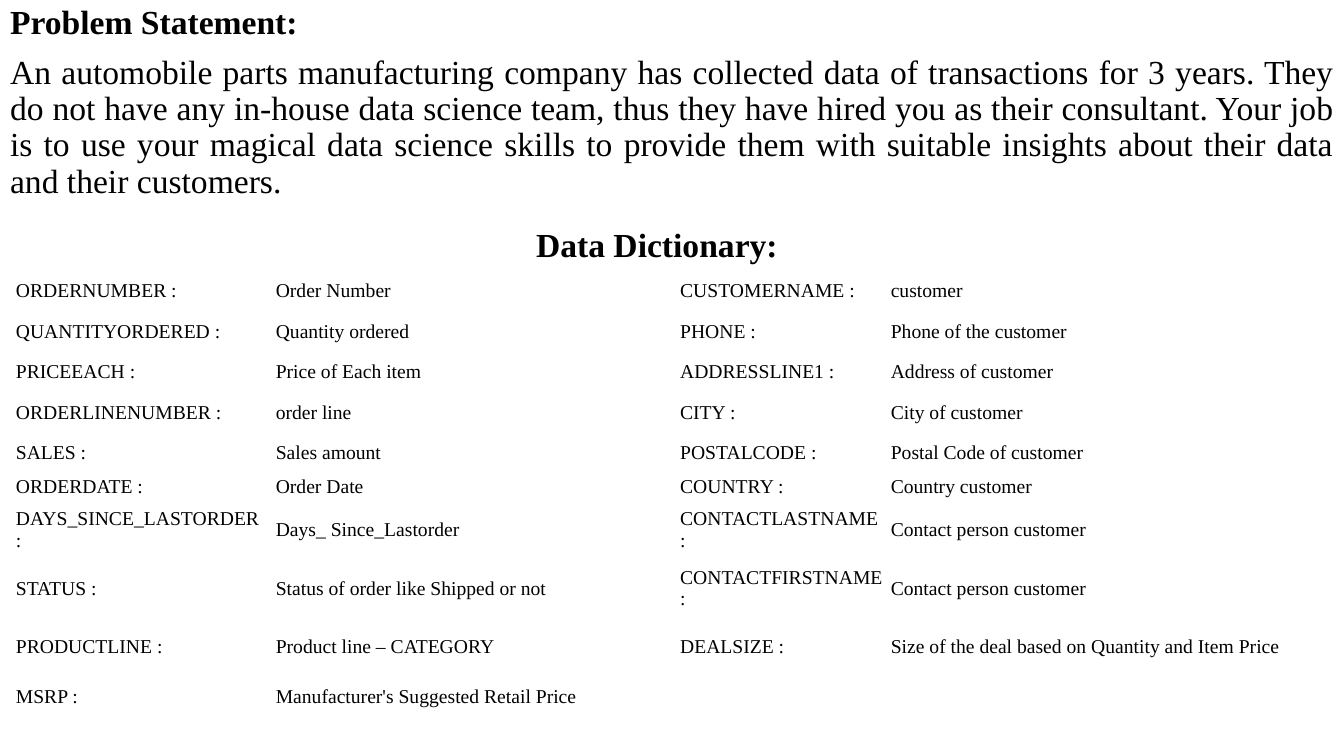
from pptx import Presentation
from pptx.dml.color import RGBColor
from pptx.enum.text import MSO_ANCHOR, PP_ALIGN
from pptx.oxml.ns import qn
from pptx.util import Cm, Pt

COLORS = {"text": "000000", "background": "FFFFFF"}
FONT = "Times New Roman"

STATEMENT = (
    "An automobile parts manufacturing company has collected data of transactions for 3 years. "
    "They do not have any in-house data science team, thus they have hired you as their consultant. "
    "Your job is to use your magical data science skills to provide them with suitable insights "
    "about their data and their customers."
)

COLUMN_WIDTHS = [6.55, 10.19, 5.31, 11.18]
# Row height, then two pairs of field and meaning
DICTIONARY = [
    (1.04, "ORDERNUMBER :", "Order Number", "CUSTOMERNAME :", "customer"),
    (1.02, "QUANTITYORDERED :", "Quantity ordered", "PHONE :", "Phone of the customer"),
    (1.02, "PRICEEACH :", "Price of Each item", "ADDRESSLINE1 :", "Address of customer"),
    (1.02, "ORDERLINENUMBER :", "order line", "CITY :", "City of customer"),
    (1.02, "SALES :", "Sales amount", "POSTALCODE :", "Postal Code of customer"),
    (0.69, "ORDERDATE :", "Order Date", "COUNTRY :", "Country customer"),
    (1.47, "DAYS_SINCE_LASTORDER :", "Days_ Since_Lastorder", "CONTACTLASTNAME :", "Contact person customer"),
    (1.47, "STATUS :", "Status of order like Shipped or not", "CONTACTFIRSTNAME :", "Contact person customer"),
    (1.47, "PRODUCTLINE :", "Product line – CATEGORY", "DEALSIZE :",
     "Size of the deal based on Quantity and Item Price"),
    (1.04, "MSRP :", "Manufacturer's Suggested Retail Price", "", ""),
]


def color(name):
    return RGBColor.from_string(COLORS[name])


def write(paragraph, text, size, bold=False):
    paragraph.text = text
    font_format = {"name": FONT, "size": Pt(size), "bold": bold}
    for attribute, value in font_format.items():
        setattr(paragraph.font, attribute, value)
    paragraph.font.color.rgb = color("text")


presentation = Presentation()
presentation.slide_width = Cm(33.87)
presentation.slide_height = Cm(19.05)
slide = presentation.slides.add_slide(presentation.slide_layouts[1])

# The problem statement fills the body placeholder; its heading is the first paragraph
title = slide.shapes.title.element
title.getparent().remove(title)
body = slide.placeholders[1]
body.left, body.top = Cm(0), Cm(0)
body.width, body.height = presentation.slide_width, presentation.slide_height
body.fill.solid()
body.fill.fore_color.rgb = color("background")
body.line.color.rgb = color("background")
body.line.width = Pt(1)
body.text_frame.vertical_anchor = MSO_ANCHOR.TOP

for index, (text, bold) in enumerate([("Problem Statement:", True), (STATEMENT, False)]):
    paragraph = body.text_frame.add_paragraph() if index else body.text_frame.paragraphs[0]
    properties = paragraph._p.get_or_add_pPr()
    properties.set("marL", "0")
    properties.set("indent", "0")
    properties.append(properties.makeelement(qn("a:buNone"), {}))
    write(paragraph, text, 24, bold)
    paragraph.alignment = PP_ALIGN.JUSTIFY
    paragraph.line_spacing = 0.9
    paragraph.space_before = Pt(10 * index)

heading = slide.shapes.add_textbox(Cm(13.26), Cm(5.51), Cm(8), Cm(1.28))
heading.text_frame.word_wrap = True
heading.text_frame.vertical_anchor = MSO_ANCHOR.MIDDLE
write(heading.text_frame.paragraphs[0], "Data Dictionary:", 24, True)

table_height = sum(row[0] for row in DICTIONARY)
table = slide.shapes.add_table(
    len(DICTIONARY), len(COLUMN_WIDTHS),
    Cm(0.3), Cm(6.81), Cm(sum(COLUMN_WIDTHS)), Cm(table_height),
).table
table.first_row = False
table.horz_banding = False
for column, width in zip(table.columns, COLUMN_WIDTHS):
    column.width = Cm(width)

cell_format = {
    "vertical_anchor": MSO_ANCHOR.MIDDLE,
    "margin_left": Cm(0.1), "margin_right": Cm(0.1),
    "margin_top": Cm(0.05), "margin_bottom": Cm(0.05),
}
for row, (height, *texts) in zip(table.rows, DICTIONARY):
    row.height = Cm(height)
    for cell, text in zip(row.cells, texts):
        for attribute, value in cell_format.items():
            setattr(cell, attribute, value)
        cell.fill.solid()
        cell.fill.fore_color.rgb = color("background")
        write(cell.text_frame.paragraphs[0], text, 14)

presentation.save("out.pptx")
